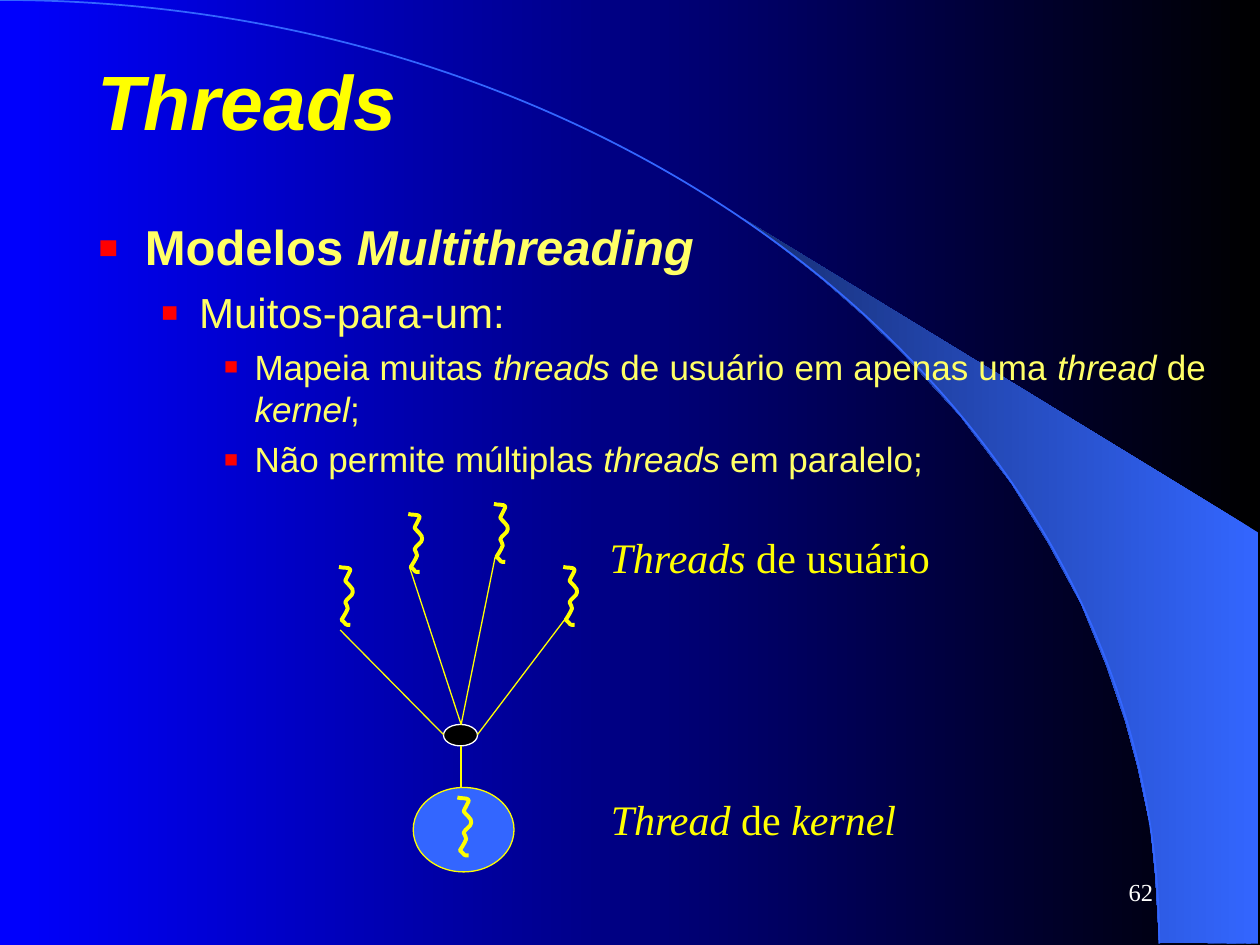
from lxml import etree
from pptx import Presentation
from pptx.dml.color import RGBColor
from pptx.enum.shapes import MSO_CONNECTOR, MSO_SHAPE
from pptx.enum.text import MSO_ANCHOR, MSO_AUTO_SIZE, PP_ALIGN
from pptx.oxml.ns import qn
from pptx.util import Inches, Pt

LEFT, RIGHT, JUSTIFY = PP_ALIGN.LEFT, PP_ALIGN.RIGHT, PP_ALIGN.JUSTIFY
TOP, MIDDLE = MSO_ANCHOR.TOP, MSO_ANCHOR.MIDDLE
NO_AUTOFIT = MSO_AUTO_SIZE.NONE
OVAL, STRAIGHT = MSO_SHAPE.OVAL, MSO_CONNECTOR.STRAIGHT

YELLOW, PALE_YELLOW, RED = "FFFF00", "FFFF66", "FF0000"
BLUE, SKY, NAVY = "0000FF", "3366FF", "172F75"
BLACK, WHITE = "000000", "FFFFFF"

# Control points of one thread symbol, relative to its start.
SQUIGGLE = [
    (0, 0), (0.03, 0.01), (0.08, 0), (0.09, 0.02),
    (0.1, 0.02), (0.05, 0.1), (0.05, 0.11),
    (0.06, 0.13), (0.12, 0.17), (0.11, 0.2),
    (0.11, 0.23), (0.06, 0.25), (0.05, 0.28),
    (0.06, 0.3), (0.07, 0.32), (0.07, 0.33),
    (0.06, 0.36), (0.02, 0.42), (0.02, 0.42),
    (0.07, 0.46), (0.04, 0.46), (0.09, 0.46),
]
ARC = [(0, 0), (5.08, 0), (9.2, 3.35), (9.2, 7.49)]
ARC_FRAME = [(-9.2, 0), (9.2, 14.97)]
CRESCENT = [
    (9.2, 7.48), (9.99, 7.49), (9.99, 4.23), (5.89, 1.73), (6.24, 1.99),
    (6.53, 2.22), (6.85, 2.5), (7.16, 2.8), (7.62, 3.3), (8.03, 3.84),
    (8.32, 4.31), (8.58, 4.79), (8.78, 5.28), (8.93, 5.72), (9.03, 6.09),
    (9.13, 6.56), (9.17, 6.96),
]


def color(hex_string):
    return RGBColor.from_string(hex_string)


def apply(target, values):
    for name, value in values.items():
        setattr(target, name, value)


class ThreadSlide:
    levels = [
        {"size": 28, "bold": True, "margin": 0.38, "hang": 0.38, "before": 7},
        {"size": 24, "bold": False, "margin": 0.81, "hang": 0.31, "before": 6},
        {"size": 20, "bold": False, "margin": 1.25, "hang": 0.25, "before": 5},
    ]

    def __init__(self, slide):
        self.slide = slide
        self.shapes = slide.shapes

    def gradient(self, fill, start, end):
        fill.gradient()
        fill.gradient_angle = 180
        for stop, hex_string, position in zip(fill.gradient_stops, (start, end), (0, 1)):
            stop.color.rgb = color(hex_string)
            stop.position = position

    def outline(self, shape, hex_string, width):
        shape.line.color.rgb = color(hex_string)
        shape.line.width = Pt(width)

    def freeform(self, points, closed=False, frame=()):
        """Draw straight segments; frame corners only widen the bounding box."""
        moves = [(Inches(x), Inches(y)) for x, y in [*frame, points[0]]]
        builder = self.shapes.build_freeform(*moves[0])
        for move in moves[1:]:
            builder.move_to(*move)
        builder.add_line_segments([(Inches(x), Inches(y)) for x, y in points[1:]],
                                  close=closed)
        shape = builder.convert_to_shape()
        for move in list(shape._element.iter(qn("a:moveTo")))[:len(frame)]:
            move.getparent().remove(move)
        shape.shadow.inherit = False
        shape.fill.background()
        return shape

    def curve(self, controls, width, hex_string, frame=()):
        """Draw a chain of cubic curves by regrouping segments in threes."""
        shape = self.freeform(controls, frame=frame)
        segments = list(shape._element.iter(qn("a:lnTo")))
        for first in range(0, len(segments), 3):
            group = segments[first:first + 3]
            cubic = etree.Element(qn("a:cubicBezTo"))
            group[0].addprevious(cubic)
            for segment in group:
                cubic.append(segment[0])
                segment.getparent().remove(segment)
        self.outline(shape, hex_string, width)
        return shape

    def backdrop(self):
        self.gradient(self.slide.background.fill, BLACK, BLUE)
        crescent = self.freeform(CRESCENT, closed=True)
        self.gradient(crescent.fill, SKY, NAVY)
        crescent.line.fill.background()
        arc = self.curve(ARC, 1, SKY, ARC_FRAME)
        # Placeholders come first in the tree, so the backdrop moves behind them.
        for index, shape in enumerate((crescent, arc), start=2):
            self.shapes._spTree.insert(index, shape._element)

    def squiggle(self, left, top):
        self.curve([(left + x, top + y) for x, y in SQUIGGLE], 2.25, YELLOW)

    def ellipse(self, left, top, width, height, fill, line):
        shape = self.shapes.add_shape(OVAL, *map(Inches, (left, top, width, height)))
        shape.shadow.inherit = False
        shape.fill.solid()
        shape.fill.fore_color.rgb = color(fill)
        self.outline(shape, line, 0.75)

    def connector(self, start, end):
        line = self.shapes.add_connector(STRAIGHT, *map(Inches, start + end))
        self.outline(line, YELLOW, 0.75)
        etree.SubElement(line._element.spPr, qn("a:effectLst"))

    def runs(self, paragraph, text, size, hex_string, font="Arial", bold=False):
        """Add runs; the parts between asterisks are italic."""
        for index, part in enumerate(text.split("*")):
            if part:
                run = paragraph.add_run()
                run.text = part
                apply(run.font, {"name": font, "size": Pt(size), "bold": bold,
                                 "italic": index % 2 == 1})
                run.font.color.rgb = color(hex_string)

    def frame(self, shape, box, anchor):
        apply(shape, dict(zip(("left", "top", "width", "height"), map(Inches, box))))
        apply(shape.text_frame, {"word_wrap": True, "auto_size": NO_AUTOFIT,
                                 "vertical_anchor": anchor})
        return shape.text_frame

    def title(self, text, box):
        paragraph = self.frame(self.shapes.title, box, MIDDLE).paragraphs[0]
        paragraph.alignment = LEFT
        self.runs(paragraph, text, 44, YELLOW, bold=True)

    def bullet(self, paragraph, margin, hang):
        properties = paragraph._p.get_or_add_pPr()
        properties.set("marL", str(Inches(margin)))
        properties.set("indent", str(-Inches(hang)))
        bullet_color = etree.SubElement(properties, qn("a:buClr"))
        etree.SubElement(bullet_color, qn("a:srgbClr"), val=RED)
        etree.SubElement(properties, qn("a:buSzPct"), val="130000")
        etree.SubElement(properties, qn("a:buFont"), typeface="Arial")
        etree.SubElement(properties, qn("a:buChar"), char="▪")

    def body(self, items, box):
        frame = self.frame(self.slide.placeholders[1], box, TOP)
        for index, (level, text) in enumerate(items):
            style = self.levels[level]
            paragraph = frame.add_paragraph() if index else frame.paragraphs[0]
            self.bullet(paragraph, style["margin"], style["hang"])
            apply(paragraph, {"level": level, "alignment": JUSTIFY,
                              "space_before": Pt(style["before"] if index else 0)})
            self.runs(paragraph, text, style["size"], PALE_YELLOW, bold=style["bold"])

    def label(self, text, box, size=24, hex_string=YELLOW, alignment=LEFT, anchor=TOP):
        shape = self.shapes.add_textbox(*map(Inches, box))
        paragraph = self.frame(shape, box, anchor).paragraphs[0]
        paragraph.alignment = alignment
        self.runs(paragraph, text, size, hex_string, font="Times New Roman")


def main():
    presentation = Presentation()
    presentation.slide_width, presentation.slide_height = Inches(10), Inches(7.5)
    page = ThreadSlide(presentation.slides.add_slide(presentation.slide_layouts[1]))

    page.backdrop()
    page.title("*Threads*", (0.67, 0.17, 9, 1.25))
    page.body([
        (0, "Modelos *Multithreading*"),
        (1, "Muitos-para-um:"),
        (2, "Mapeia muitas *threads* de usuário em apenas uma *thread* de *kernel*;"),
        (2, "Não permite múltiplas *threads* em paralelo;"),
    ], (0.67, 1.67, 9, 2.42))

    for start in [(2.69, 4.5), (4.47, 4.5), (3.92, 4), (3.24, 4.08)]:
        page.squiggle(*start)
    page.label("*Threads* de usuário", (4.74, 4.17, 2.75, 0.5))

    page.ellipse(3.28, 6.25, 0.8, 0.67, SKY, YELLOW)
    page.squiggle(3.63, 6.33)
    page.label("*Thread* de *kernel*", (4.75, 6.25, 2.56, 0.5))

    page.ellipse(3.52, 5.75, 0.27, 0.17, BLACK, WHITE)
    hub_top = (3.66, 5.75)
    for start, end in [((2.7, 5), (3.52, 5.83)), ((4.48, 4.92), (3.79, 5.83)),
                       ((3.25, 4.5), hub_top), ((3.93, 4.42), hub_top),
                       ((3.66, 5.92), (3.66, 6.25))]:
        page.connector(start, end)

    page.label("62", (7.17, 6.83, 2.08, 0.5), 14, WHITE, RIGHT, MIDDLE)
    presentation.save("out.pptx")


if __name__ == "__main__":
    main()
